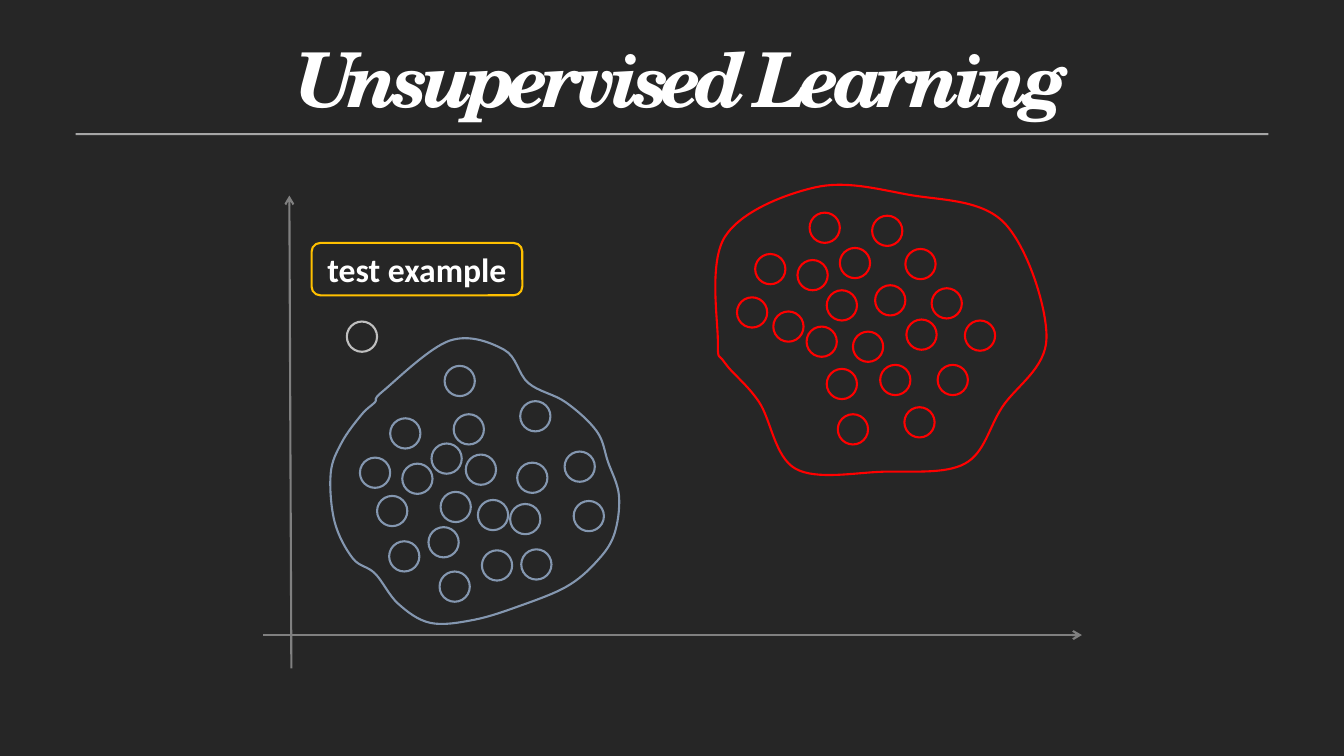
from lxml import etree
from pptx import Presentation
from pptx.dml.color import RGBColor
from pptx.enum.shapes import MSO_CONNECTOR, MSO_SHAPE
from pptx.enum.text import MSO_ANCHOR, PP_ALIGN
from pptx.oxml.ns import qn
from pptx.util import Inches, Pt

OVAL, RECT, ROUND = MSO_SHAPE.OVAL, MSO_SHAPE.RECTANGLE, MSO_SHAPE.ROUNDED_RECTANGLE
STRAIGHT = MSO_CONNECTOR.STRAIGHT
CENTER, MIDDLE, TOP = PP_ALIGN.CENTER, MSO_ANCHOR.MIDDLE, MSO_ANCHOR.TOP

DARK, WHITE, SILVER, GRAY = "262626", "FFFFFF", "A6A6A6", "808080"
BLUE, RED, GOLD, PALE = "8497B0", "FF0000", "FFC000", "BFBFBF"
DOT = 0.3     # circle diameter

# Circles and outline knots, in inches from the corner of each cluster
BLUE_DOTS = [
    (1.74, 1.96), (1.36, 2.67), (0.86, 2.37), (2.17, 2.45), (0.99, 1.6),
    (1.62, 1.51), (1.25, 2.23), (0.74, 1.92), (2.06, 2), (0.87, 1.15),
    (2.13, 1.59), (1.78, 2.46), (1.37, 1.88), (2.69, 1.97), (1.5, 1.11),
    (2.16, 0.98), (0.57, 1.54), (1.28, 1.4), (2.6, 1.48), (1.41, 0.63)]
BLUE_KNOTS = [
    (0.8, 0.88), (1.46, 0.38), (2, 0.47), (2.24, 0.8), (2.61, 0.99),
    (2.92, 1.28), (3.03, 1.58), (3.14, 1.92), (3.09, 2.31), (2.91, 2.58),
    (2.62, 2.82), (2.16, 3.01), (1.7, 3.15), (1.27, 3.18), (0.95, 2.99),
    (0.72, 2.69), (0.5, 2.54), (0.32, 2.18), (0.28, 1.7), (0.39, 1.39),
    (0.59, 1.11), (0.72, 0.99)]
RED_DOTS = [
    (1.73, 2.62), (1.2, 1.88), (1.31, 3.11), (2.3, 2.62), (0.67, 2.09),
    (1.65, 1.14), (1.46, 2.29), (1.2, 2.66), (1.99, 2.17), (0.49, 1.52),
    (1.68, 1.83), (1.97, 3.04), (1, 2.24), (2.57, 2.18), (1.33, 1.46),
    (1.98, 1.47), (0.31, 1.95), (0.91, 1.58), (2.24, 1.86), (1.03, 1.11)]
RED_KNOTS = [
    (0.12, 2.38), (0.19, 1.35), (1.08, 0.86), (2, 0.93), (2.96, 1.21),
    (3.38, 2.35), (2.94, 3.04), (2.57, 3.6), (1.76, 3.68), (0.89, 3.65),
    (0.53, 2.99), (0.19, 2.6)]


def rgb(code):
    return RGBColor.from_string(code)


def style(shape, fill=None, line=None):
    shape.shadow.inherit = False
    if fill:
        shape.fill.solid()
        shape.fill.fore_color.rgb = rgb(fill)
    else:
        shape.fill.background()
    if line:
        shape.line.color.rgb = rgb(line)
        shape.line.width = Pt(1.5)
    else:
        shape.line.fill.background()


def add(slide, kind, x, y, w, h, **look):
    shape = slide.shapes.add_shape(kind, Inches(x), Inches(y), Inches(w), Inches(h))
    style(shape, **look)
    return shape


def write(shape, text, size, font, italic=False, anchor=TOP, pitch=None, track=None):
    frame = shape.text_frame
    frame.word_wrap = True
    frame.vertical_anchor = anchor
    para = frame.paragraphs[0]
    para.alignment = CENTER
    if pitch:
        para.line_spacing = Pt(pitch)
    run = para.add_run()
    run.text = text
    run.font.size, run.font.name = Pt(size), font
    run.font.bold, run.font.italic = True, italic
    run.font.color.rgb = rgb(WHITE)
    if track:
        run.font._element.set("spc", str(int(track * 100)))


def axis(slide, x1, y1, x2, y2):
    line = slide.shapes.add_connector(
        STRAIGHT, Inches(x1), Inches(y1), Inches(x2), Inches(y2))
    line.line.color.rgb = rgb(GRAY)
    line.line.width = Pt(1.5)
    etree.SubElement(line.line._get_or_add_ln(), qn("a:tailEnd"), type="arrow")
    etree.SubElement(line._element.spPr, qn("a:effectLst"))


def curve(shape, points):
    """Turn the straight sides of a closed outline into smooth curves."""
    route = next(shape._element.iter(qn("a:path")))
    for side in route.findall(qn("a:lnTo")):
        route.remove(side)
    end, count = route.find(qn("a:close")), len(points)
    for i in range(count):
        near = [points[(i + k) % count] for k in (-1, 0, 1, 2)]
        trio = [(b + (c - a) / 6, c - (d - b) / 6, c) for a, b, c, d in zip(*near)]
        bend = etree.Element(qn("a:cubicBezTo"))
        for x, y in zip(*trio):
            etree.SubElement(bend, qn("a:pt"), x=str(round(x - shape.left)),
                             y=str(round(y - shape.top)))
        end.addprevious(bend)


def cluster(slide, left, top, color, dots, knots):
    for x, y in dots:
        add(slide, OVAL, left + x, top + y, DOT, DOT, line=color)
    points = [(Inches(left + x), Inches(top + y)) for x, y in knots]
    pen = slide.shapes.build_freeform(*points[0])
    pen.add_line_segments(points[1:], close=True)
    blob = pen.convert_to_shape()
    curve(blob, points)
    style(blob, line=color)


def header(slide, left, top, width):
    add(slide, RECT, left, top + 1.27, width, 0.02, fill=SILVER)
    box = slide.shapes.add_textbox(
        Inches(left + 0.47), Inches(top), Inches(width - 0.75), Inches(1.17))
    write(box, "Unsupervised Learning", 54, "TeX Gyre Schola",
          italic=True, pitch=80.7, track=-4.8)


def plot(slide, left, top, width, height):
    # Axes
    axis(slide, left + 0.28, top + height, left + 0.26, top)
    base = top + height - 0.33
    axis(slide, left, base, left + width, base)
    # Clusters and the new example
    cluster(slide, left + 0.39, top + 1.06, BLUE, BLUE_DOTS, BLUE_KNOTS)
    add(slide, OVAL, left + 0.83, top + 1.25, DOT, DOT, line=PALE)
    label = add(slide, ROUND, left + 0.48, top + 0.47, 2.09, 0.52, line=GOLD)
    write(label, "test example", 24, "Calibri", anchor=MIDDLE)
    cluster(slide, left + 4.39, top - 0.94, RED, RED_DOTS, RED_KNOTS)


def main():
    deck = Presentation()
    deck.slide_width, deck.slide_height = Inches(13.33), Inches(7.5)
    slide = deck.slides.add_slide(deck.slide_layouts[6])
    slide.background.fill.solid()
    slide.background.fill.fore_color.rgb = rgb(DARK)
    header(slide, 0.75, 0.05, 11.83)
    plot(slide, 2.61, 1.94, 8.12, 4.69)
    deck.save("out.pptx")


if __name__ == "__main__":
    main()
